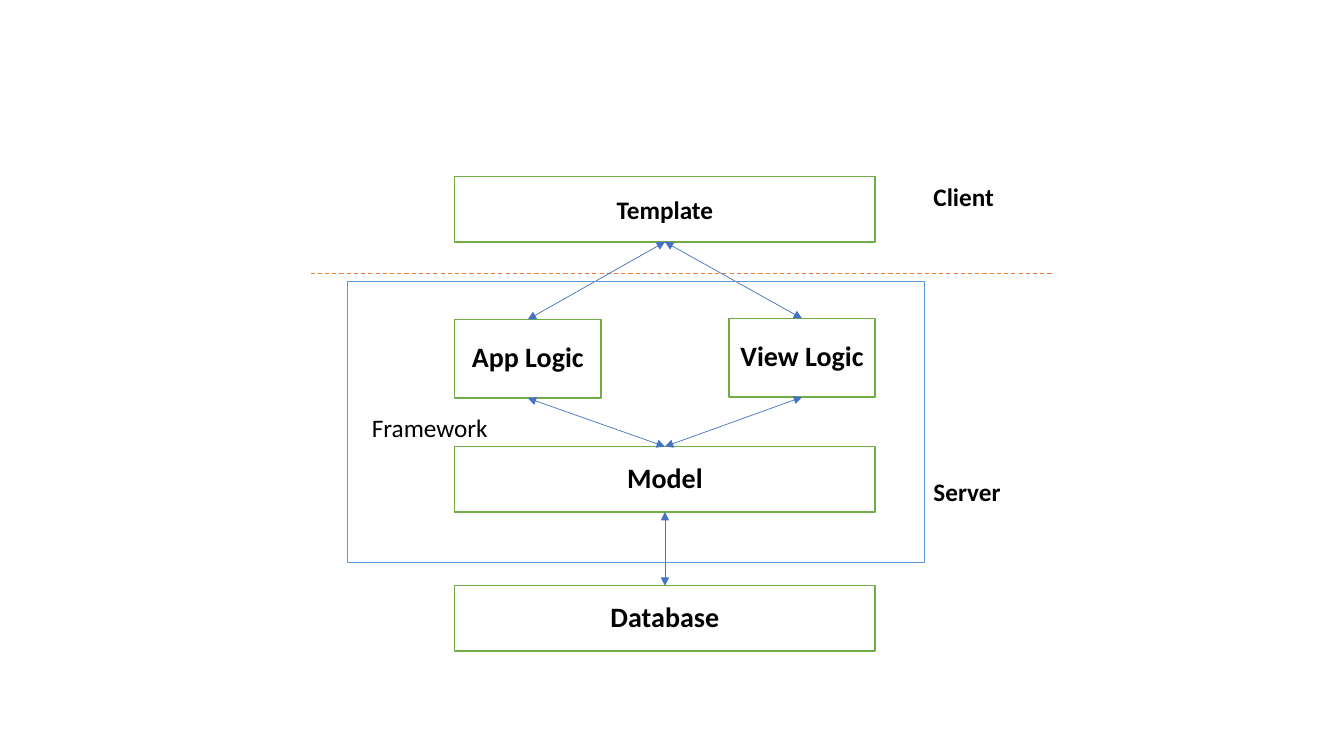
"""Build a slide showing the layers of a web framework between client and server."""
from lxml import etree
from pptx import Presentation
from pptx.dml.color import RGBColor
from pptx.enum.dml import MSO_LINE
from pptx.enum.shapes import MSO_CONNECTOR, MSO_SHAPE
from pptx.enum.text import MSO_ANCHOR, MSO_AUTO_SIZE, PP_ALIGN
from pptx.oxml.ns import qn
from pptx.util import Inches, Pt

RECTANGLE = MSO_SHAPE.RECTANGLE
STRAIGHT = MSO_CONNECTOR.STRAIGHT
DASH = MSO_LINE.DASH
MIDDLE = MSO_ANCHOR.MIDDLE
CENTER = PP_ALIGN.CENTER
GROW = MSO_AUTO_SIZE.SHAPE_TO_FIT_TEXT

WHITE = RGBColor(0xFF, 0xFF, 0xFF)
BLACK = RGBColor(0x00, 0x00, 0x00)
GREEN = RGBColor(0x70, 0xAD, 0x47)
ORANGE = RGBColor(0xED, 0x7D, 0x31)
ARROW_BLUE = RGBColor(0x44, 0x72, 0xC4)
FRAME_BLUE = RGBColor(0x5B, 0x9B, 0xD5)
FONT = "Calibri"

LEFT, WIDE, NARROW = 4.51, 4.17, 1.45
LAYER_HEIGHT, LOGIC_HEIGHT = 0.65, 0.78
RIGHT_LEFT = LEFT + WIDE - NARROW
TOP_SITE, BOTTOM_SITE = 0, 2

BOXES = [
    ("Template", LEFT, 1.75, WIDE, LAYER_HEIGHT, 18, 1.0),
    ("View Logic", RIGHT_LEFT, 3.16, NARROW, LOGIC_HEIGHT, 20, 0.9),
    ("Model", LEFT, 4.43, WIDE, LAYER_HEIGHT, 20, 0.9),
    ("Database", LEFT, 5.81, WIDE, LAYER_HEIGHT, 20, 0.9),
    ("App Logic", LEFT, 3.17, NARROW, LOGIC_HEIGHT, 20, 0.9),
]
ARROWS = [
    ("Template", "View Logic"),
    ("Template", "App Logic"),
    ("View Logic", "Model"),
    ("App Logic", "Model"),
    ("Model", "Database"),
]
LABELS = [
    ("Client", 9.16, 1.75, 1.05, True),
    ("Server", 9.16, 4.68, 1.05, True),
    ("Framework", 3.59, 4.04, 1.45, False),
]
FRAME = (3.45, 2.79, 5.72, 2.79)
DIVIDER = (3.08, 2.71, 10.45, 2.71)


def inches(*lengths):
    return [Inches(length) for length in lengths]


def write(shape, text, size, bold):
    frame = shape.text_frame
    frame.word_wrap = True
    frame.text = text
    para = frame.paragraphs[0]
    font = para.runs[0].font
    font.name, font.size, font.bold = FONT, Pt(size), bold
    font.color.rgb = BLACK
    return para


def add_rectangle(page, place, color, weight):
    box = page.shapes.add_shape(RECTANGLE, *inches(*place))
    box.shadow.inherit = False
    box.line.color.rgb = color
    box.line.width = Pt(weight)
    return box


def add_box(page, text, left, top, width, height, size, spacing):
    box = add_rectangle(page, (left, top, width, height), GREEN, 1)
    box.fill.solid()
    box.fill.fore_color.rgb = WHITE
    box.text_frame.vertical_anchor = MIDDLE
    para = write(box, text, size, True)
    para.alignment = CENTER
    para.line_spacing = spacing
    return box


def add_line(page, ends, color, weight):
    line = page.shapes.add_connector(STRAIGHT, *inches(*ends))
    line.line.color.rgb = color
    line.line.width = Pt(weight)
    etree.SubElement(line._element.spPr, qn("a:effectLst"))
    return line


def add_arrow(page, upper, lower):
    arrow = add_line(page, (0, 0, 0, 0), ARROW_BLUE, 0.5)
    arrow.begin_connect(upper, BOTTOM_SITE)
    arrow.end_connect(lower, TOP_SITE)
    outline = arrow.line._get_or_add_ln()
    for end in ("a:headEnd", "a:tailEnd"):
        etree.SubElement(outline, qn(end), type="triangle")


def add_label(page, text, left, top, width, bold):
    label = page.shapes.add_textbox(*inches(left, top, width, 0.4))
    write(label, text, 18, bold)
    label.text_frame.auto_size = GROW


deck = Presentation()
deck.slide_width, deck.slide_height = inches(13.33, 7.5)
page = deck.slides.add_slide(deck.slide_layouts[6])

boxes = {box[0]: add_box(page, *box) for box in BOXES}
add_line(page, DIVIDER, ORANGE, 0.75).line.dash_style = DASH
for upper, lower in ARROWS:
    add_arrow(page, boxes[upper], boxes[lower])
add_rectangle(page, FRAME, FRAME_BLUE, 0.75).fill.background()
for label in LABELS:
    add_label(page, *label)

deck.save("out.pptx")
